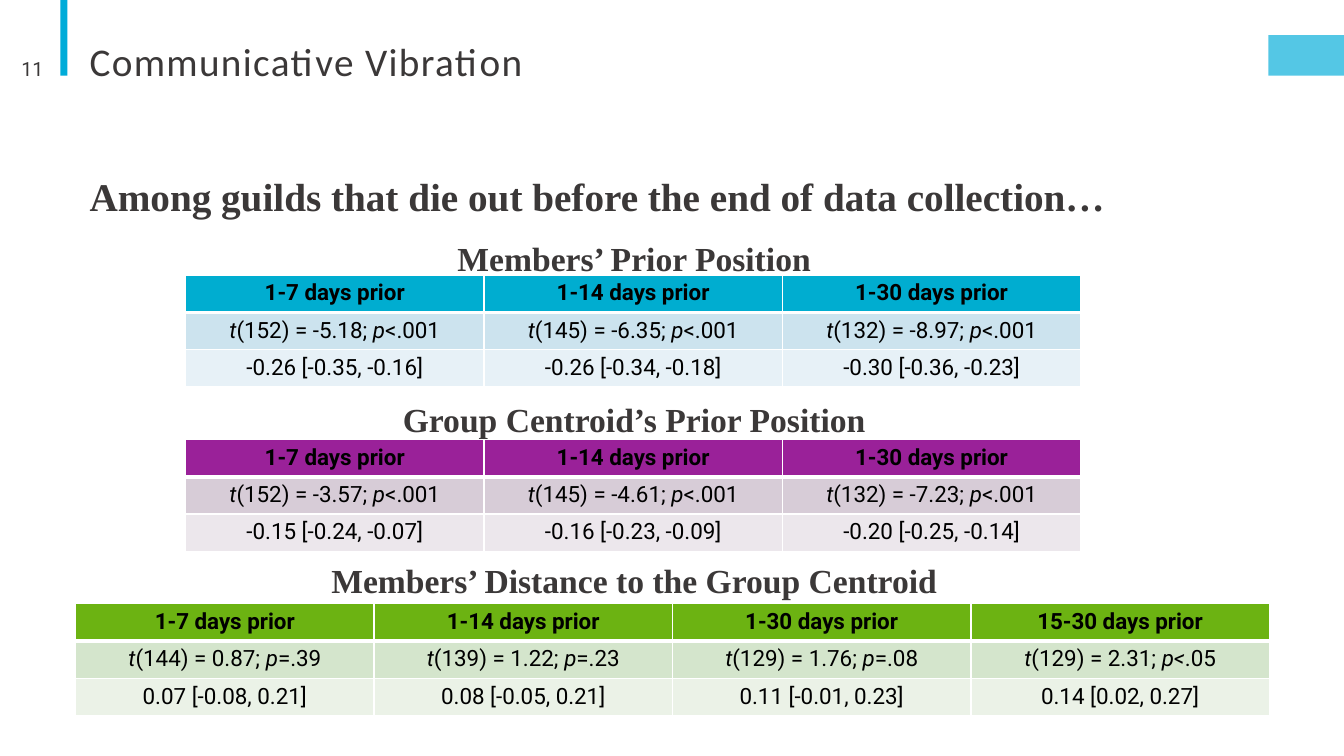
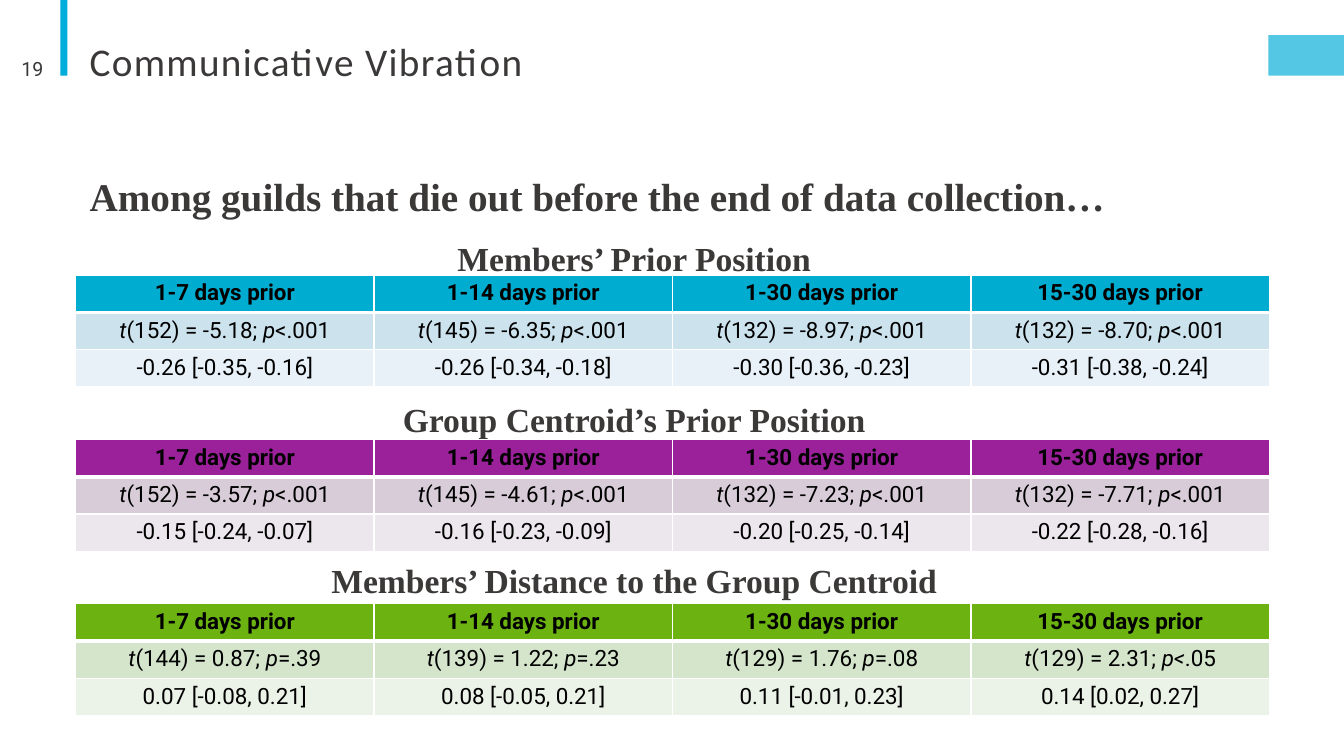
from lxml import etree
from pptx import Presentation
from pptx.dml.color import RGBColor
from pptx.enum import shapes, text
from pptx.oxml import ns
from pptx.util import Inches, Pt

WHITE = RGBColor(0xFF, 0xFF, 0xFF)
BLACK = RGBColor(0x00, 0x00, 0x00)
INK = RGBColor(0x3B, 0x38, 0x38)
ACCENT = RGBColor(0x00, 0xAC, 0xD9)
BLUES = (RGBColor(0x00, 0xAD, 0xD0), RGBColor(0xCC, 0xE3, 0xEE), RGBColor(0xE7, 0xF1, 0xF7))
PURPLES = (RGBColor(0x90, 0x09, 0x8E), RGBColor(0xD7, 0xCC, 0xD7), RGBColor(0xEC, 0xE7, 0xEC))
GREENS = (RGBColor(0x6C, 0xB3, 0x12), RGBColor(0xD4, 0xE5, 0xCC), RGBColor(0xEB, 0xF2, 0xE7))

TITLE = {"name": "Calibri", "size": Pt(28)}
HEADLINE = {"name": "Times New Roman", "size": Pt(28), "bold": True}
CAPTION = {**HEADLINE, "size": Pt(24)}
NUMBER = {"name": "Roboto", "size": Pt(14)}
CELL = {"name": "Roboto", "size": Pt(16)}

TEXT_LEFT, TEXT_WIDTH = 0.79, 11
COLUMN_WIDTH, ROW_HEIGHT = 2.96, 0.37
CAPTION_TOP, CAPTION_STEP = 2.31, 1.6
TABLE_TOP, TABLE_STEP = 2.73, 1.63
TABLE_LEFT = {3: 1.84, 4: 0.75}

PERIODS = ["1-7 days prior", "1-14 days prior", "1-30 days prior", "15-30 days prior"]
# Asterisks enclose the italic parts of a test result.
SECTIONS = [
    ("Members’ Prior Position", BLUES, 100,
     ["*t*(152) = -5.18; *p*<.001", "*t*(145) = -6.35; *p*<.001",
      "*t*(132) = -8.97; *p*<.001", "*t*(132) = -8.70; *p*<.001"],
     ["-0.26 [-0.35, -0.16]", "-0.26 [-0.34, -0.18]",
      "-0.30 [-0.36, -0.23]", "-0.31 [-0.38, -0.24]"]),
    ("Group Centroid’s Prior Position", PURPLES, 90,
     ["*t*(152) = -3.57; *p*<.001", "*t*(145) = -4.61; *p*<.001",
      "*t*(132) = -7.23; *p*<.001", "*t*(132) = -7.71; *p*<.001"],
     ["-0.15 [-0.24, -0.07]", "-0.16 [-0.23, -0.09]",
      "-0.20 [-0.25, -0.14]", "-0.22 [-0.28, -0.16]"]),
    ("Members’ Distance to the Group Centroid", GREENS, 100,
     ["*t*(144) = 0.87; *p*=.39", "*t*(139) = 1.22; *p*=.23",
      "*t*(129) = 1.76; *p*=.08", "*t*(129) = 2.31; *p<*.05"],
     ["0.07 [-0.08, 0.21]", "0.08 [-0.05, 0.21]",
      "0.11 [-0.01, 0.23]", "0.14 [0.02, 0.27]"]),
]


def set_fill(fill, color, opacity=100):
    fill.solid()
    fill.fore_color.rgb = color
    if opacity < 100:
        for node in fill._xPr.iter(ns.qn("a:srgbClr")):
            etree.SubElement(node, ns.qn("a:alpha"), val=str(opacity * 1000))


def add_span(para, words, style, color, **extra):
    span = para.add_run()
    span.text = words
    for key, value in {**style, **extra}.items():
        setattr(span.font, key, value)
    span.font.color.rgb = color
    return span


def add_text(page, box, words, style, align=text.PP_ALIGN.LEFT, anchor=text.MSO_ANCHOR.TOP):
    frame = page.shapes.add_textbox(*map(Inches, box)).text_frame
    frame.word_wrap = True
    frame.vertical_anchor = anchor
    para = frame.paragraphs[0]
    para.alignment = align
    return para, add_span(para, words, style, INK)


def add_block(page, box, opacity=100):
    block = page.shapes.add_shape(shapes.MSO_SHAPE.RECTANGLE, *map(Inches, box))
    block.shadow.inherit = False
    block.line.fill.background()
    set_fill(block.fill, ACCENT, opacity)


def add_frame(page, number):
    """Accent bars, page number and title shared by all slides."""
    add_block(page, (0.6, 0, 0.07, 0.75))
    add_block(page, (12.58, 0.35, 0.75, 0.4), 67)
    para, span = add_text(page, (TEXT_LEFT, 0.39, TEXT_WIDTH, 0.62), "Communicative Vibration", TITLE)
    para.line_spacing = 0.85
    span.font._element.set("spc", "100")
    add_text(page, (0.07, 0.48, 0.46, 0.4), str(number), NUMBER,
             text.PP_ALIGN.RIGHT, text.MSO_ANCHOR.MIDDLE)


def set_borders(cell, top, bottom):
    """White borders; side lines are 1 pt, top and bottom as given."""
    widths = {"L": 1, "R": 1, "T": top, "B": bottom}
    props = cell._tc.get_or_add_tcPr()
    for place, (side, width) in enumerate(widths.items()):
        line = etree.Element(ns.qn(f"a:ln{side}"), w=str(Pt(width)))
        solid = etree.SubElement(line, ns.qn("a:solidFill"))
        etree.SubElement(solid, ns.qn("a:srgbClr"), val=str(WHITE))
        props.insert(place, line)


def add_results(page, left, top, rows, colors, header_opacity):
    count = len(rows[0])
    table = page.shapes.add_table(
        len(rows), count, Inches(left), Inches(top),
        Inches(COLUMN_WIDTH * count), Inches(ROW_HEIGHT * len(rows))).table
    table.horz_banding = False
    for column in table.columns:
        column.width = Inches(COLUMN_WIDTH)
    for r, (row, color) in enumerate(zip(rows, colors)):
        table.rows[r].height = Inches(ROW_HEIGHT)
        for c, words in enumerate(row):
            cell = table.cell(r, c)
            set_fill(cell.fill, color, header_opacity if r == 0 else 100)
            set_borders(cell, 3 if r == 1 else 1, 3 if r == 0 else 1)
            para = cell.text_frame.paragraphs[0]
            para.alignment = text.PP_ALIGN.CENTER
            for part, piece in enumerate(words.split("*")):
                if piece:
                    add_span(para, piece, CELL, BLACK, bold=r == 0, italic=part % 2 == 1)


def add_results_page(deck, number, column_counts):
    page = deck.slides.add_slide(deck.slide_layouts[6])
    add_frame(page, number)
    add_text(page, (TEXT_LEFT, 1.66, TEXT_WIDTH, 0.55),
             "Among guilds that die out before the end of data collection…", HEADLINE)
    for i, (section, count) in enumerate(zip(SECTIONS, column_counts)):
        caption, colors, opacity, tests, intervals = section
        add_text(page, (TEXT_LEFT, CAPTION_TOP + i * CAPTION_STEP, TEXT_WIDTH, 0.47),
                 caption, CAPTION, text.PP_ALIGN.CENTER)
        rows = [row[:count] for row in (PERIODS, tests, intervals)]
        add_results(page, TABLE_LEFT[count], TABLE_TOP + i * TABLE_STEP, rows, colors, opacity)


def main():
    deck = Presentation()
    deck.slide_width, deck.slide_height = Inches(13.33), Inches(7.5)
    add_results_page(deck, 11, (3, 3, 4))
    add_results_page(deck, 19, (4, 4, 4))
    deck.save("out.pptx")


if __name__ == "__main__":
    main()
